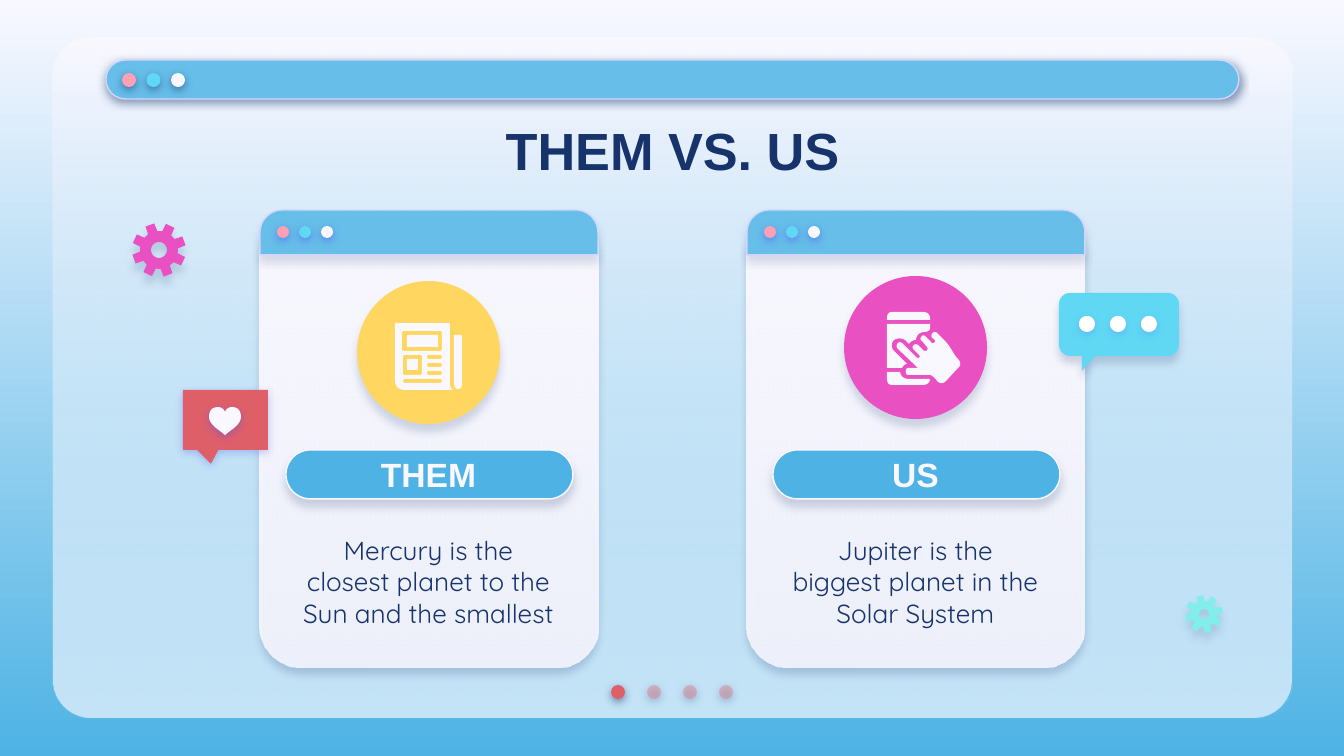
from lxml.etree import SubElement
from pptx import Presentation
from pptx.dml.color import RGBColor
from pptx.enum.shapes import MSO_SHAPE
from pptx.enum.text import MSO_ANCHOR, MSO_AUTO_SIZE, PP_ALIGN
from pptx.oxml.ns import qn
from pptx.util import Emu, Pt
from math import cos, radians, sin

SCALE = 9144000 / 1344  # EMU per px

NAVY = RGBColor(0x17, 0x33, 0x6B)
INDIGO = RGBColor(0x53, 0x52, 0xEE)
PALE = RGBColor(0xF9, 0xF8, 0xFF)
WHITE = RGBColor(0xFF, 0xFF, 0xFF)
BLUE = RGBColor(0x4E, 0xB3, 0xE4)
SKY = RGBColor(0x66, 0xBE, 0xE9)
LILAC = RGBColor(0xD2, 0xD6, 0xFF)
RED = RGBColor(0xDF, 0x5F, 0x69)
FADED_RED = RGBColor(0xE2, 0x7B, 0x83)
PINK = RGBColor(0xFD, 0xA0, 0xB4)
CYAN = RGBColor(0x60, 0xD8, 0xF4)
AQUA = RGBColor(0x81, 0xEE, 0xEB)
YELLOW = RGBColor(0xFF, 0xD6, 0x5F)
MAGENTA = RGBColor(0xE9, 0x51, 0xC2)

# Shadows: colour, opacity in percent, distance in points
NEAR_SHADOW = (NAVY, 50, 1.5)
DOT_SHADOW = (INDIGO, 50, 1.5)
SOFT_SHADOW = (NAVY, 18, 3.8)
FAR_SHADOW = (NAVY, 16, 4.5)

# Icon outlines in px: pairs are line ends, sixes are Bezier curves
HEART = [(225, 412), (224, 409, 221, 407, 218, 407), (212, 407, 209, 411, 209, 417),
         (209, 422, 214, 427, 220, 431), (225, 435), (230, 431),
         (236, 427, 241, 422, 241, 417), (241, 411, 238, 407, 232, 407),
         (229, 407, 226, 409, 225, 412)]
NEWS_PAGE = [(397, 323), (395, 323, 395, 325, 395, 325), (395, 380),
             (395, 387, 399, 390, 405, 390), (453, 390), (451, 389, 450, 386, 450, 383),
             (450, 325), (450, 323, 449, 323, 448, 323)]
NEWS_ROLL = [(454, 335), (454, 383), (454, 387, 456, 389, 458, 389),
             (461, 389, 462, 387, 462, 383), (462, 337), (462, 335, 461, 335, 460, 335)]
PHONE_TOP = [(892, 312), (889, 312, 887, 314, 887, 318), (887, 320), (930, 320),
             (930, 318), (930, 314, 927, 312, 923, 312)]
PHONE_SCREEN = [(887, 324), (887, 368), (902, 368), (903, 366, 905, 364, 907, 364),
                (894, 351), (891, 348, 891, 343, 894, 340), (897, 338, 902, 338, 905, 340),
                (909, 344), (910, 342, 913, 340, 916, 340), (916, 336, 919, 332, 925, 332),
                (927, 332, 929, 331, 930, 329), (930, 324)]
PHONE_BASE = [(887, 372), (887, 379), (887, 383, 889, 385, 892, 385), (923, 385),
              (927, 385, 929, 383, 930, 380), (929, 379), (909, 379),
              (904, 379, 901, 377, 900, 372)]
HAND = [(934, 332), (931, 334, 931, 336, 932, 338), (934, 339),
        (936, 341, 935, 343, 933, 343), (932, 343, 931, 343, 931, 342), (926, 337),
        (924, 335, 923, 335, 922, 336), (920, 338, 920, 340, 922, 341), (927, 347),
        (928, 348, 928, 350, 926, 351), (925, 351, 924, 351, 923, 350), (918, 345),
        (916, 344, 915, 344, 914, 345), (912, 346, 912, 348, 914, 350), (919, 355),
        (920, 356, 920, 358, 918, 358), (917, 358, 917, 358, 916, 357), (902, 343),
        (900, 342, 899, 342, 898, 343), (896, 345, 896, 347, 898, 349), (918, 368),
        (908, 368), (905, 368, 905, 375, 908, 375), (930, 375),
        (932, 375, 936, 379, 937, 381), (940, 384, 943, 384, 946, 381), (958, 368),
        (961, 366, 961, 362, 958, 359), (955, 357, 950, 346, 946, 342), (937, 333),
        (936, 332, 935, 332, 934, 332)]


def px(value):
    return Emu(round(value * SCALE))


def set_alpha(parent, percent):
    color = next(parent.iter(qn("a:srgbClr")))
    SubElement(color, qn("a:alpha"), val=str(percent * 1000))


def set_gradient(fill, top, bottom):
    fill.gradient()
    fill.gradient_angle = 270
    for stop, color in zip(fill.gradient_stops, (top, bottom)):
        stop.color.rgb = color


def style(shape, fill, line=None, shadow=None):
    if fill is not None:
        shape.fill.solid()
        shape.fill.fore_color.rgb = fill
    if line is None:
        shape.line.fill.background()
    else:
        shape.line.color.rgb = line
        shape.line.width = Pt(0.75)
    shape.shadow.inherit = False
    if shadow:
        color, opacity, distance = shadow
        effects = shape._element.spPr.find(qn("a:effectLst"))
        outer = SubElement(effects, qn("a:outerShdw"), blurRad=str(Pt(4.5)),
                           dist=str(Pt(distance)), dir="5400000", algn="bl", rotWithShape="0")
        SubElement(outer, qn("a:srgbClr"), val=str(color))
        set_alpha(outer, opacity)


def add_shape(slide, kind, box, fill, line=None, shadow=None, adjust=()):
    shape = slide.shapes.add_shape(kind, *map(px, box))
    for index, value in enumerate(adjust):
        shape.adjustments[index] = value
    style(shape, fill, line, shadow)
    return shape


def add_faded_panel(slide, box, adjust, bottom, alpha, shadow=None):
    shape = add_shape(slide, MSO_SHAPE.ROUNDED_RECTANGLE, box, None, None, shadow, [adjust])
    set_gradient(shape.fill, PALE, bottom)
    set_alpha(shape._element.spPr.findall(".//" + qn("a:gs"))[1], alpha)


def add_dots(slide, left, top, size, step, colors, shadow):
    return [add_shape(slide, MSO_SHAPE.OVAL, (left + index * step, top, size, size),
                      color, shadow=shadow) for index, color in enumerate(colors)]


def flatten(outline, steps=6):
    points = [outline[0]]
    for item in outline[1:]:
        if len(item) == 2:
            points.append(item)
            continue
        corners = [points[-1], item[:2], item[2:4], item[4:]]
        for step in range(1, steps + 1):
            t = step / steps
            weights = ((1 - t) ** 3, 3 * t * (1 - t) ** 2, 3 * t * t * (1 - t), t ** 3)
            points.append(tuple(sum(weight * corner[axis] for weight, corner
                                    in zip(weights, corners)) for axis in (0, 1)))
    return points


def rounded(left, top, width, height, radius):
    right, bottom, bend = left + width, top + height, radius * 0.45
    return [(left + radius, top), (right - radius, top),
            (right - bend, top, right, top + bend, right, top + radius),
            (right, bottom - radius),
            (right, bottom - bend, right - bend, bottom, right - radius, bottom),
            (left + radius, bottom),
            (left + bend, bottom, left, bottom - bend, left, bottom - radius),
            (left, top + radius),
            (left, top + bend, left + bend, top, left + radius, top)]


def circle(x, y, radius):
    return rounded(x - radius, y - radius, 2 * radius, 2 * radius, radius)


def add_outline(slide, outlines, fill, shadow=None):
    contours = [[tuple(map(px, point)) for point in flatten(outline)] for outline in outlines]
    builder = slide.shapes.build_freeform(*contours[0][0], scale=1.0)
    for index, contour in enumerate(contours):
        if index:
            builder.move_to(*contour[0])
        builder.add_line_segments(contour[1:], close=True)
    style(builder.convert_to_shape(), fill, shadow=shadow)


def add_gear(slide, x, y, outer, root, hole, turn, fill, shadow):
    teeth = []
    for tooth in range(8):
        for offset, radius in ((-15, root), (-10, outer), (10, outer), (15, root)):
            angle = radians(45 * tooth + turn + offset)
            teeth.append((x + radius * sin(angle), y - radius * cos(angle)))
    add_outline(slide, [teeth, circle(x, y, hole)], fill, shadow)


def fill_placeholder(slide, index, box, text, font, size, color, bold, side=13):
    shape = slide.placeholders[index]
    slide.shapes._spTree.append(shape._element)  # bring to front
    shape.left, shape.top, shape.width, shape.height = map(px, box)
    frame = shape.text_frame
    frame.text = text
    frame.word_wrap = True
    frame.auto_size = MSO_AUTO_SIZE.NONE
    frame.vertical_anchor = MSO_ANCHOR.MIDDLE
    frame.margin_left = frame.margin_right = px(side)
    frame.margin_top = frame.margin_bottom = px(13)
    paragraph = frame.paragraphs[0]
    properties = paragraph._p.get_or_add_pPr()
    properties.set("marL", "0")
    properties.set("indent", "0")
    SubElement(properties, qn("a:buNone"))
    paragraph.alignment = PP_ALIGN.CENTER
    paragraph.space_before = Pt(0)
    paragraph.font.name, paragraph.font.size = font, Pt(size)
    paragraph.font.bold, paragraph.font.color.rgb = bold, color
    return paragraph


def add_card(slide, left, index, heading, body, side):
    add_faded_panel(slide, (left, 210, 338, 457), 0.124, PALE, 87, (NAVY, 22, 3.8))
    add_shape(slide, MSO_SHAPE.ROUND_2_SAME_RECTANGLE, (left, 210, 338, 45), SKY, LILAC,
              (NAVY, 15, 3.8), (0.5, 0))
    add_dots(slide, left + 17, 226, 12, 22, (PINK, CYAN, PALE), DOT_SHADOW)
    add_shape(slide, MSO_SHAPE.ROUNDED_RECTANGLE, (left + 26, 450, 287, 49), BLUE, PALE,
              SOFT_SHADOW, [0.5])
    head = fill_placeholder(slide, index, (left + 32, 456, 273, 36), heading,
                            "Arial", 18, PALE, True)
    text = fill_placeholder(slide, index + 1, (left + 32, 519, 273, 125), body,
                            "Quicksand", 14, NAVY, False, side)
    head.space_after = text.space_after = Pt(12)


def main():
    presentation = Presentation()
    presentation.slide_width, presentation.slide_height = px(1344), px(756)
    slide = presentation.slides.add_slide(presentation.slide_layouts[4])
    set_gradient(slide.background.fill, PALE, BLUE)

    # Window panel, pager and top bar
    panel = (53, 38, 1239, 680)
    add_shape(slide, MSO_SHAPE.ROUNDED_RECTANGLE, panel, PALE, adjust=[0.056])
    add_faded_panel(slide, panel, 0.056, SKY, 35)
    pager = add_dots(slide, 611, 685, 14, 36, [RED] + [FADED_RED] * 3, NEAR_SHADOW)
    for dot in pager[1:]:
        set_alpha(dot._element.spPr, 44)
    add_shape(slide, MSO_SHAPE.ROUNDED_RECTANGLE, (106, 60, 1133, 39), SKY, LILAC,
              NEAR_SHADOW, [0.5])
    add_dots(slide, 122, 73, 14, 24.5, (PINK, CYAN, PALE), NEAR_SHADOW)

    # Title and cards
    title = fill_placeholder(slide, 0, (106, 102, 1133, 85), "THEM VS. US",
                             "Arial", 28, NAVY, True)
    title.line_spacing = 1.15
    add_card(slide, 260, 1, "THEM",
             "Mercury is the closest planet to the Sun and the smallest", 7)
    add_card(slide, 747, 3, "US", "Jupiter is the biggest planet in the Solar System", 13)

    # Newspaper icon
    add_shape(slide, MSO_SHAPE.OVAL, (357, 281, 143, 143), YELLOW, shadow=FAR_SHADOW)
    cutouts = [(402, 331, 40, 20), (403, 355, 19, 20), (403, 379, 39, 4)]
    cutouts += [(427, top, 15, 4) for top in (355, 363, 371)]
    add_outline(slide, [NEWS_PAGE] + [rounded(*box, 2) for box in cutouts], PALE)
    add_outline(slide, [NEWS_ROLL], PALE)
    for box in ((407, 359, 11, 11), (407, 335, 31, 12)):
        add_shape(slide, MSO_SHAPE.RECTANGLE, box, PALE)

    # Phone icon
    add_shape(slide, MSO_SHAPE.OVAL, (844, 276, 143, 143), MAGENTA, shadow=FAR_SHADOW)
    for outline in (PHONE_TOP, PHONE_SCREEN, PHONE_BASE, HAND):
        add_outline(slide, [outline], PALE)

    # Gears
    add_gear(slide, 159, 250, 27, 19, 8, -20, MAGENTA, FAR_SHADOW)
    add_gear(slide, 1204, 614, 19, 13, 5, -13, AQUA, (NAVY, 15, 3.8))

    # Heart and chat bubbles
    add_shape(slide, MSO_SHAPE.ROUNDED_RECTANGULAR_CALLOUT, (183, 390, 85, 60), RED,
              shadow=(INDIGO, 31, 1.5), adjust=(-0.17, 0.73, 0))
    add_outline(slide, [HEART], PALE, (INDIGO, 38, 1.5))
    bubble = rounded(1059, 293, 120, 63, 11)
    bubble[5:5] = [(1095, 356), (1082, 371), (1082, 356)]
    add_outline(slide, [bubble], CYAN, SOFT_SHADOW)
    add_outline(slide, [circle(x, 324, 8) for x in (1087, 1118, 1149)], WHITE,
                (INDIGO, 18, 1.5))

    presentation.save("out.pptx")


if __name__ == "__main__":
    main()
